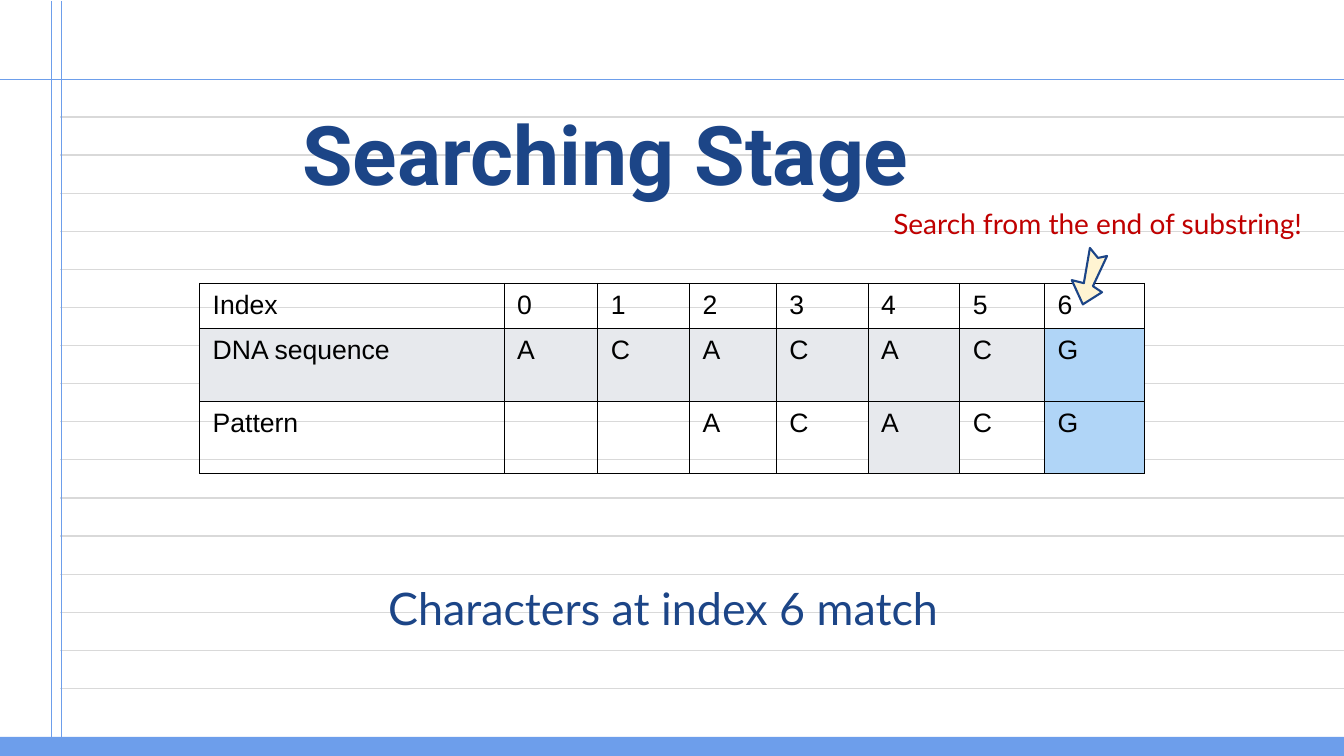
from lxml import etree
from pptx import Presentation
from pptx import util as u
from pptx.dml.color import RGBColor
from pptx.enum import shapes, text
from pptx.oxml import ns

W, H = 13.33, 7.5
NAVY, BLUE, RULE, RED = "1C4587", "6D9EEB", "D9D9D9", "C00000"
GREY, MATCH, CREAM, BLACK = "E7E9ED", "B0D5F7", "FFF4D2", "000000"

# Content
TITLE = "Searching Stage"
CALLOUT = "Search from the end of substring!"
CAPTION = "Characters at index 6 match"
ROWS = [
    ["Index", "0", "1", "2", "3", "4", "5", "6"],
    ["DNA sequence", "A", "C", "A", "C", "A", "C", "G"],
    ["Pattern", "", "", "A", "C", "A", "C", "G"],
]
FILLS = [
    [None] * 8,
    [GREY] * 7 + [MATCH],
    [None] * 5 + [GREY, None, MATCH],
]
COL_WIDTHS = [3.02, 0.93, 0.91, 0.86, 0.91, 0.91, 0.84, 0.99]
ROW_HEIGHTS = [0.45, 0.72, 0.72]
ARROW = [(10.81, 2.46), (10.89, 2.56), (10.98, 2.54), (10.84, 2.84),
         (10.93, 2.9), (10.74, 3.02), (10.63, 2.78), (10.75, 2.81)]

# Notebook lines: (x1, y1, x2, y2, colour, points)
RULE_TOP, RULE_GAP, RULE_COUNT = 1.16, 0.378, 16
LINES = [(0.6, RULE_TOP + i * RULE_GAP, W, RULE_TOP + i * RULE_GAP, RULE, 0.86)
         for i in range(RULE_COUNT)]
LINES += [(x, 0.01, x, 7.49, BLUE, 0.62) for x in (0.51, 0.61)]
LINES.append((0, 0.79, W, 0.79, BLUE, 0.75))


def rgb(color):
    return RGBColor.from_string(color)


def write(tf, words, *, size, font, color, bold=False,
          margins=(0.13, 0.07), anchor=text.MSO_ANCHOR.TOP):
    tf.word_wrap = True
    tf.auto_size = text.MSO_AUTO_SIZE.NONE
    tf.vertical_anchor = anchor
    tf.margin_left = tf.margin_right = u.Inches(margins[0])
    tf.margin_top = tf.margin_bottom = u.Inches(margins[1])
    p = tf.paragraphs[0]
    p.alignment = text.PP_ALIGN.LEFT
    r = p.add_run()
    r.text = words
    f = r.font
    f.size, f.name, f.bold = u.Pt(size), font, bold
    f.color.rgb = rgb(color)


def place(sp, *box):
    sp.left, sp.top, sp.width, sp.height = map(u.Inches, box)


def add_line(s, x1, y1, x2, y2, color, width):
    line = s.shapes.add_connector(shapes.MSO_CONNECTOR.STRAIGHT,
                                  *map(u.Inches, (x1, y1, x2, y2)))
    line.line.color.rgb = rgb(color)
    line.line.width = u.Pt(width)
    etree.SubElement(line._element.spPr, ns.qn("a:effectLst"))


def add_borders(cell):
    tc_pr = cell._tc.get_or_add_tcPr()
    for side in ("lnL", "lnR", "lnT", "lnB"):
        ln = etree.SubElement(tc_pr, ns.qn("a:" + side), w=str(u.Pt(0.75)))
        fill = etree.SubElement(ln, ns.qn("a:solidFill"))
        etree.SubElement(fill, ns.qn("a:srgbClr"), val=BLACK)


def add_grid(s):
    box = (1.98, 2.81, sum(COL_WIDTHS), sum(ROW_HEIGHTS))
    table = s.shapes.add_table(len(ROWS), len(COL_WIDTHS),
                               *map(u.Inches, box)).table
    table.first_row = table.horz_banding = False
    for col, width in zip(table.columns, COL_WIDTHS):
        col.width = u.Inches(width)
    for i, height in enumerate(ROW_HEIGHTS):
        table.rows[i].height = u.Inches(height)
        for j, (words, color) in enumerate(zip(ROWS[i], FILLS[i])):
            cell = table.cell(i, j)
            add_borders(cell)
            if color:
                cell.fill.solid()
                cell.fill.fore_color.rgb = rgb(color)
            else:
                cell.fill.background()
            cell.margin_left = cell.margin_right = u.Inches(0.13)
            cell.margin_top = cell.margin_bottom = u.Inches(0.07)
            if words:
                r = cell.text_frame.paragraphs[0].add_run()
                r.text = words
                r.font.size, r.font.name = u.Pt(19), "Arial"
                r.font.color.rgb = rgb(BLACK)


def add_text(s, words, box, **style):
    sp = s.shapes.add_textbox(*map(u.Inches, box))
    write(sp.text_frame, words, **style)


def main():
    prs = Presentation()
    prs.slide_width, prs.slide_height = u.Inches(W), u.Inches(H)
    s = prs.slides.add_slide(prs.slide_layouts[5])

    # Notebook background
    for line in LINES:
        add_line(s, *line)
    bar = s.shapes.add_shape(shapes.MSO_SHAPE.RECTANGLE,
                             *map(u.Inches, (0, 7.31, W, H - 7.31)))
    bar.shadow.inherit = False
    bar.fill.solid()
    bar.fill.fore_color.rgb = rgb(BLUE)
    bar.line.fill.background()

    # Table and caption
    add_grid(s)
    add_text(s, CAPTION, (3.72, 5.69, 5.9, 0.67),
             size=32, font="Lato", color=NAVY)

    # Title, raised above the ruled lines
    title = s.shapes.title
    place(title, 3, 0.99, 7.34, 1.01)
    write(title.text_frame, TITLE, size=58.7, font="Roboto", color=NAVY,
          bold=True, margins=(0, 0), anchor=text.MSO_ANCHOR.BOTTOM)
    s.shapes._spTree.append(title._element)

    # Callout and its arrow
    add_text(s, CALLOUT, (8.73, 1.98, 4.6, 0.67),
             size=20, font="Lato", color=RED)
    points = [(u.Inches(x), u.Inches(y)) for x, y in ARROW]
    outline = s.shapes.build_freeform(*points[0])
    outline.add_line_segments(points[1:], close=True)
    arrow = outline.convert_to_shape()
    arrow.shadow.inherit = False
    arrow.fill.solid()
    arrow.fill.fore_color.rgb = rgb(CREAM)
    arrow.line.color.rgb = rgb(NAVY)
    arrow.line.width = u.Pt(1.5)

    prs.save("out.pptx")


if __name__ == "__main__":
    main()
